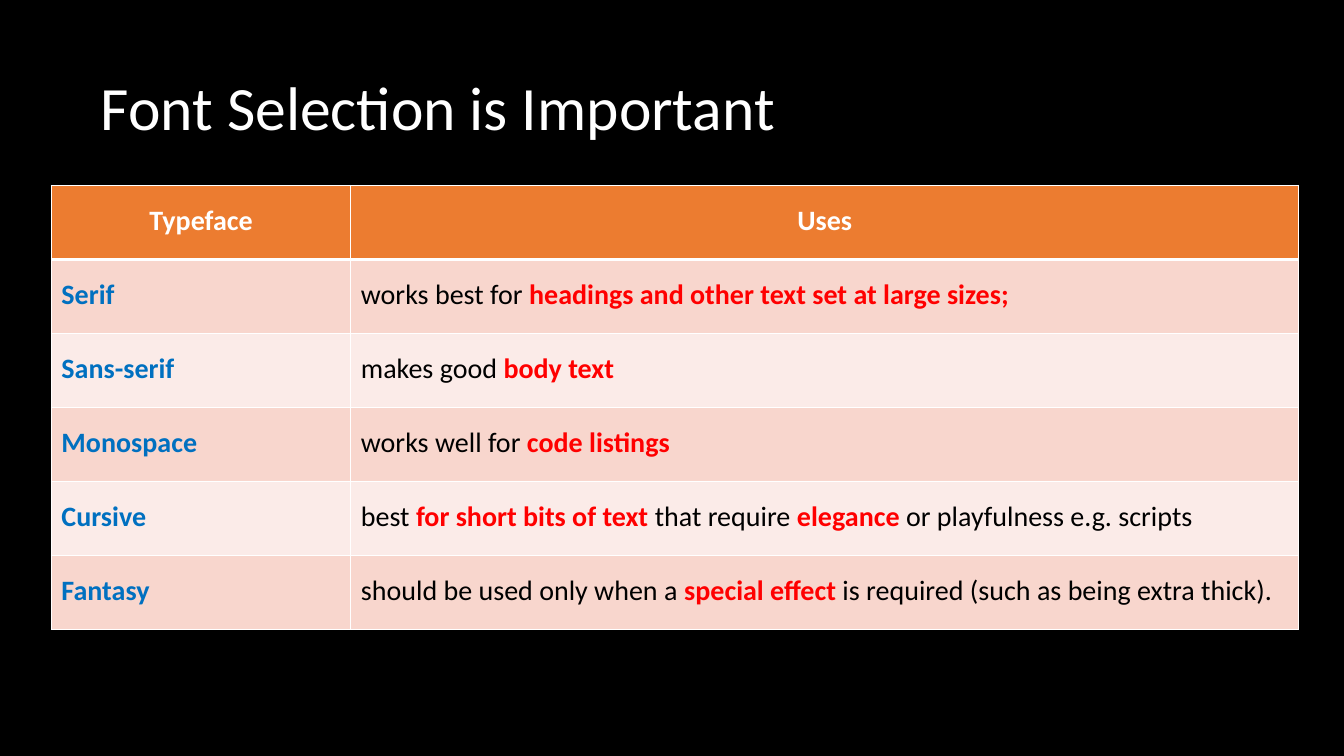
from dataclasses import dataclass

from lxml.etree import SubElement
from pptx import Presentation
from pptx.dml.color import RGBColor
from pptx.enum.text import MSO_ANCHOR, MSO_AUTO_SIZE, PP_ALIGN
from pptx.oxml.ns import qn
from pptx.slide import Slide
from pptx.table import _Cell
from pptx.text.text import _Paragraph
from pptx.util import Inches, Pt


@dataclass(frozen=True)
class Theme:
    font: str = "Calibri"
    title_size: int = 44
    table_size: int = 20
    background: str = "000000"
    light: str = "FFFFFF"
    text: str = "000000"
    typeface: str = "0070C0"
    emphasis: str = "FF0000"
    header_fill: str = "EC7C30"
    row_fills: tuple[str, str] = ("F8D6CD", "FBEBE8")
    thin_border: int = 1
    thick_border: int = 3


@dataclass(frozen=True)
class Span:
    text: str
    color: str
    bold: bool = True


@dataclass(frozen=True)
class TypefaceUse:
    typeface: str
    use: str  # Emphasised words stand between asterisks.


THEME = Theme()
TITLE = "Font Selection is Important"
HEADINGS = ("Typeface", "Uses")
COLUMN_WIDTHS = (2.97, 9.4)
ROW_HEIGHT = 0.735
TYPEFACE_USES = (
    TypefaceUse("Serif", "works best for *headings and other text set at large sizes;*"),
    TypefaceUse("Sans-serif", "makes good *body text*"),
    TypefaceUse("Monospace", "works well for *code listings*"),
    TypefaceUse(
        "Cursive",
        "best *for short bits of text* that require *elegance* or playfulness e.g. scripts",
    ),
    TypefaceUse(
        "Fantasy",
        "should be used only when a *special effect* is required (such as being extra thick).",
    ),
)


def rgb(color: str) -> RGBColor:
    return RGBColor.from_string(color)


def format_paragraph(paragraph: _Paragraph, size: int, alignment: PP_ALIGN) -> None:
    paragraph.alignment = alignment
    paragraph.line_spacing = 1.0
    paragraph.font.name = THEME.font
    paragraph.font.size = Pt(size)


def emphasised_spans(marked_text: str) -> list[Span]:
    """Split at asterisks; every second part is emphasised."""
    return [
        Span(part, THEME.emphasis if index % 2 else THEME.text, bool(index % 2))
        for index, part in enumerate(marked_text.split("*"))
        if part
    ]


def set_borders(cell: _Cell, top: int, bottom: int) -> None:
    properties = cell._tc.get_or_add_tcPr()
    thin = THEME.thin_border
    for side, width in (("L", thin), ("R", thin), ("T", top), ("B", bottom)):
        line = SubElement(properties, qn(f"a:ln{side}"), w=str(Pt(width)))
        fill = SubElement(line, qn("a:solidFill"))
        SubElement(fill, qn("a:srgbClr"), val=THEME.light)


def fill_cell(cell: _Cell, spans: list[Span], row: int) -> None:
    header = row == 0
    set_borders(
        cell,
        top=THEME.thick_border if row == 1 else THEME.thin_border,
        bottom=THEME.thick_border if header else THEME.thin_border,
    )
    cell.fill.solid()
    cell.fill.fore_color.rgb = rgb(
        THEME.header_fill if header else THEME.row_fills[(row - 1) % 2]
    )
    cell.margin_left = Inches(0 if header else 0.1)
    cell.margin_right = cell.margin_bottom = 0
    cell.margin_top = Inches(0.18)
    cell.vertical_anchor = MSO_ANCHOR.TOP
    paragraph = cell.text_frame.paragraphs[0]
    format_paragraph(
        paragraph, THEME.table_size, PP_ALIGN.CENTER if header else PP_ALIGN.LEFT
    )
    for span in spans:
        run = paragraph.add_run()
        run.text = span.text
        run.font.bold = span.bold
        run.font.color.rgb = rgb(span.color)


def add_title(slide: Slide) -> None:
    title = slide.shapes.title
    title.left, title.top = Inches(1), Inches(0.57)
    title.width, title.height = Inches(9.69), Inches(0.93)
    frame = title.text_frame
    frame.text = TITLE
    frame.auto_size = MSO_AUTO_SIZE.NONE
    frame.vertical_anchor = MSO_ANCHOR.TOP
    frame.margin_left = frame.margin_right = frame.margin_bottom = 0
    frame.margin_top = Inches(0.11)
    paragraph = frame.paragraphs[0]
    format_paragraph(paragraph, THEME.title_size, PP_ALIGN.LEFT)
    paragraph.font.color.rgb = rgb(THEME.light)


def add_typeface_table(slide: Slide) -> None:
    rows = [[[Span(heading, THEME.light)] for heading in HEADINGS]]
    rows += [
        [[Span(entry.typeface, THEME.typeface)], emphasised_spans(entry.use)]
        for entry in TYPEFACE_USES
    ]
    table = slide.shapes.add_table(
        len(rows), len(COLUMN_WIDTHS), Inches(0.51), Inches(1.84),
        Inches(sum(COLUMN_WIDTHS)), Inches(ROW_HEIGHT * len(rows)),
    ).table
    table.horz_banding = False
    for column, width in zip(table.columns, COLUMN_WIDTHS):
        column.width = Inches(width)
    for row, cells in enumerate(rows):
        for column, spans in enumerate(cells):
            fill_cell(table.cell(row, column), spans, row)


def main() -> None:
    presentation = Presentation()
    presentation.slide_width, presentation.slide_height = Inches(13.33), Inches(7.5)
    slide = presentation.slides.add_slide(presentation.slide_layouts[5])
    slide.background.fill.solid()
    slide.background.fill.fore_color.rgb = rgb(THEME.background)
    add_title(slide)
    add_typeface_table(slide)
    presentation.save("out.pptx")


if __name__ == "__main__":
    main()
